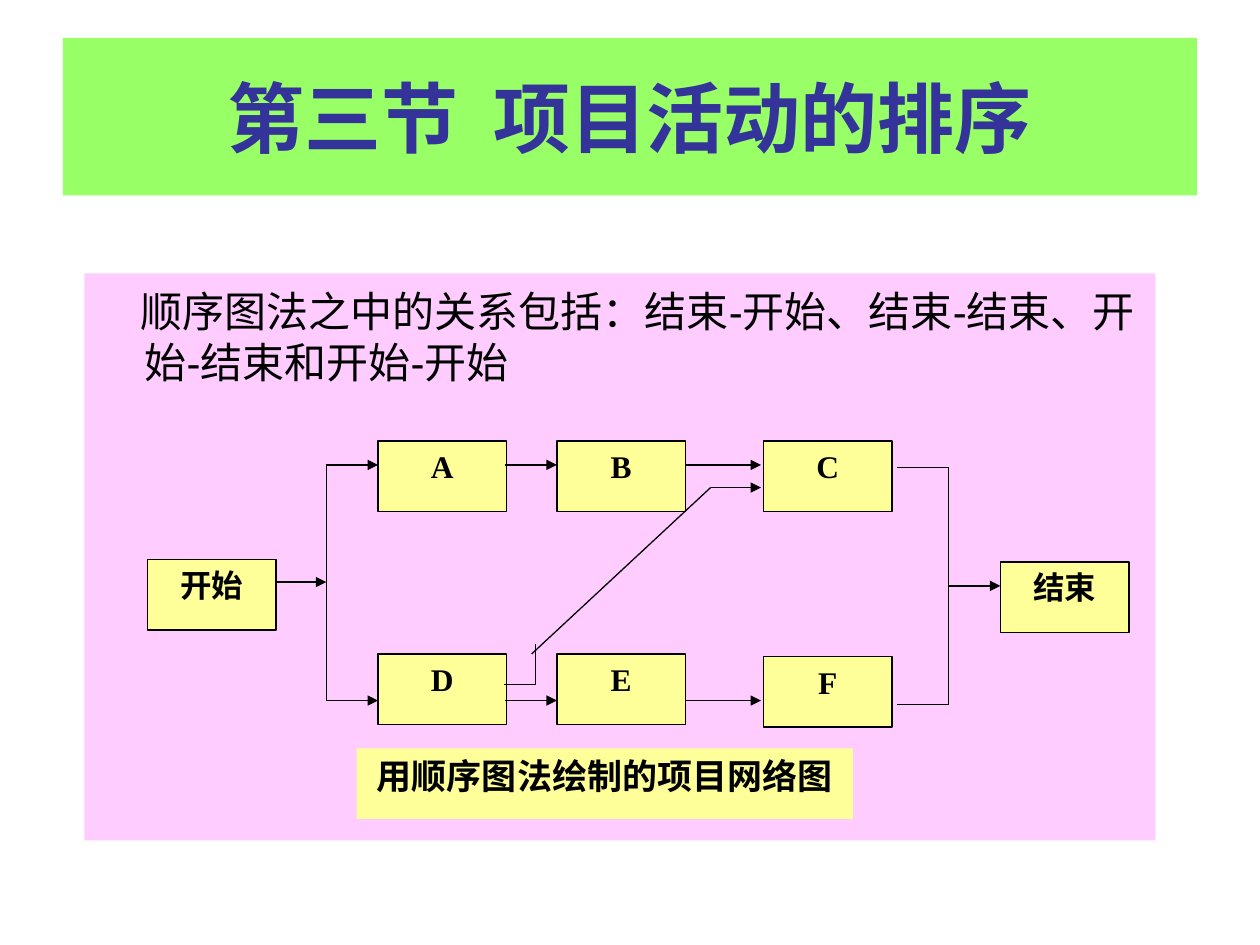
import itertools

import pptx
import pptx.dml.color
import pptx.enum.shapes
import pptx.enum.text
import pptx.oxml.ns
import pptx.oxml.xmlchemy
import pptx.util

COLUMNS, ROWS = 100, 75
CELL = pptx.util.Inches(10) // COLUMNS
COLORS = {
    "banner": "99FF66",
    "heading": "333399",
    "panel": "FFCCFF",
    "activity": "FFFF99",
    "ink": "000000",
}
CENTER = pptx.enum.text.PP_ALIGN.CENTER
LEFT = pptx.enum.text.PP_ALIGN.LEFT
TOP = pptx.enum.text.MSO_ANCHOR.TOP
MIDDLE = pptx.enum.text.MSO_ANCHOR.MIDDLE
HEADING = {"size": pptx.util.Pt(44), "name": "Arial", "bold": True}
BODY = {"size": pptx.util.Pt(24), "name": "Arial", "bold": False}
LABEL = {"size": pptx.util.Pt(18), "name": "Times New Roman", "bold": True}
CAPTION = {**LABEL, "size": pptx.util.Pt(20)}
ACTIVITY_SIZE = (10.2, 5.6)
ACTIVITIES = {
    "开始": (11.7, 44.4),
    "A": (30, 35),
    "B": (44.2, 35),
    "C": (60.6, 35),
    "D": (30, 51.9),
    "E": (44.2, 51.9),
    "F": (60.6, 52.1),
    "结束": (79.4, 44.6),
}
FORK, JOIN = 25.9, 75.3
UPPER, LOWER = 36.9, 55.6
ARROWS = [
    [(21.8, 46.2), (FORK, 46.2)],
    [(JOIN, 46.5), (79.4, 46.5)],
    [(42.2, 51.9), (56.4, 38.7), (60.4, 38.7)],
]
ARROWS += [
    [(start, row), (end, row)]
    for row in (UPPER, LOWER)
    for start, end in ((FORK, 30), (40.1, 44.2), (54.4, 60.4))
]
PLAIN_LINES = [
    [(FORK, UPPER), (FORK, LOWER)],
    [(71.2, 37.1), (JOIN, 37.1), (JOIN, 55.9), (71.2, 55.9)],
    [(40, 54.3), (42.5, 54.3), (42.5, 51.1)],
]


def cells(*counts):
    return [pptx.util.Emu(round(count * CELL)) for count in counts]


def rgb(role):
    return pptx.dml.color.RGBColor.from_string(COLORS[role])


def apply_format(target, values):
    for attribute, value in values.items():
        setattr(target, attribute, value)


def add_block(slide, text, place, fill, font, ink="ink", align=CENTER,
              anchor=TOP, outlined=False):
    block = slide.shapes.add_shape(
        pptx.enum.shapes.MSO_SHAPE.RECTANGLE, *cells(*place))
    block.shadow.inherit = False
    block.fill.solid()
    block.fill.fore_color.rgb = rgb(fill)
    if outlined:
        block.line.color.rgb = rgb("ink")
        block.line.width = pptx.util.Pt(0.75)
    else:
        block.line.fill.background()
    frame = block.text_frame
    apply_format(frame, {"word_wrap": True, "vertical_anchor": anchor})
    paragraph = frame.paragraphs[0]
    paragraph.alignment = align
    run = paragraph.add_run()
    run.text = text
    apply_format(run.font, font)
    run.font.color.rgb = rgb(ink)
    return block


def add_route(slide, points, arrow=False):
    for start, end in itertools.pairwise(points):
        segment = slide.shapes.add_connector(
            pptx.enum.shapes.MSO_CONNECTOR.STRAIGHT, *cells(*start, *end))
        segment.line.color.rgb = rgb("ink")
        segment.line.width = pptx.util.Pt(0.75)
        properties = segment.element.spPr
        properties.append(pptx.oxml.xmlchemy.OxmlElement("a:effectLst"))
        if arrow and end == points[-1]:
            head = pptx.oxml.xmlchemy.OxmlElement("a:tailEnd")
            head.set("type", "triangle")
            properties.find(pptx.oxml.ns.qn("a:ln")).append(head)


def add_relations_panel(slide):
    panel = add_block(
        slide, "顺序图法之中的关系包括：结束-开始、结束-结束、开始-结束和开始-开始",
        (6.7, 21.7, 85, 45), "panel", BODY, align=LEFT)
    panel.text_frame.margin_top = cells(1)[0]
    indents = panel.text_frame.paragraphs[0]._p.get_or_add_pPr()
    for side, count in {"marL": 3.8, "indent": -0.3}.items():
        indents.set(side, str(int(cells(count)[0])))


def add_network(slide):
    for label, corner in ACTIVITIES.items():
        add_block(slide, label, corner + ACTIVITY_SIZE, "activity", LABEL,
                  outlined=True)
    for points in PLAIN_LINES:
        add_route(slide, points)
    for points in ARROWS:
        add_route(slide, points, arrow=True)
    add_block(slide, "用顺序图法绘制的项目网络图", (28.3, 59.4, 39.4, 5.6),
              "activity", CAPTION)


def main():
    deck = pptx.Presentation()
    deck.slide_width, deck.slide_height = cells(COLUMNS, ROWS)
    slide = deck.slides.add_slide(deck.slide_layouts[6])
    add_relations_panel(slide)
    add_network(slide)
    add_block(slide, "第三节  项目活动的排序", (5, 3, 90, 12.5), "banner",
              HEADING, ink="heading", anchor=MIDDLE)
    deck.save("out.pptx")


if __name__ == "__main__":
    main()
